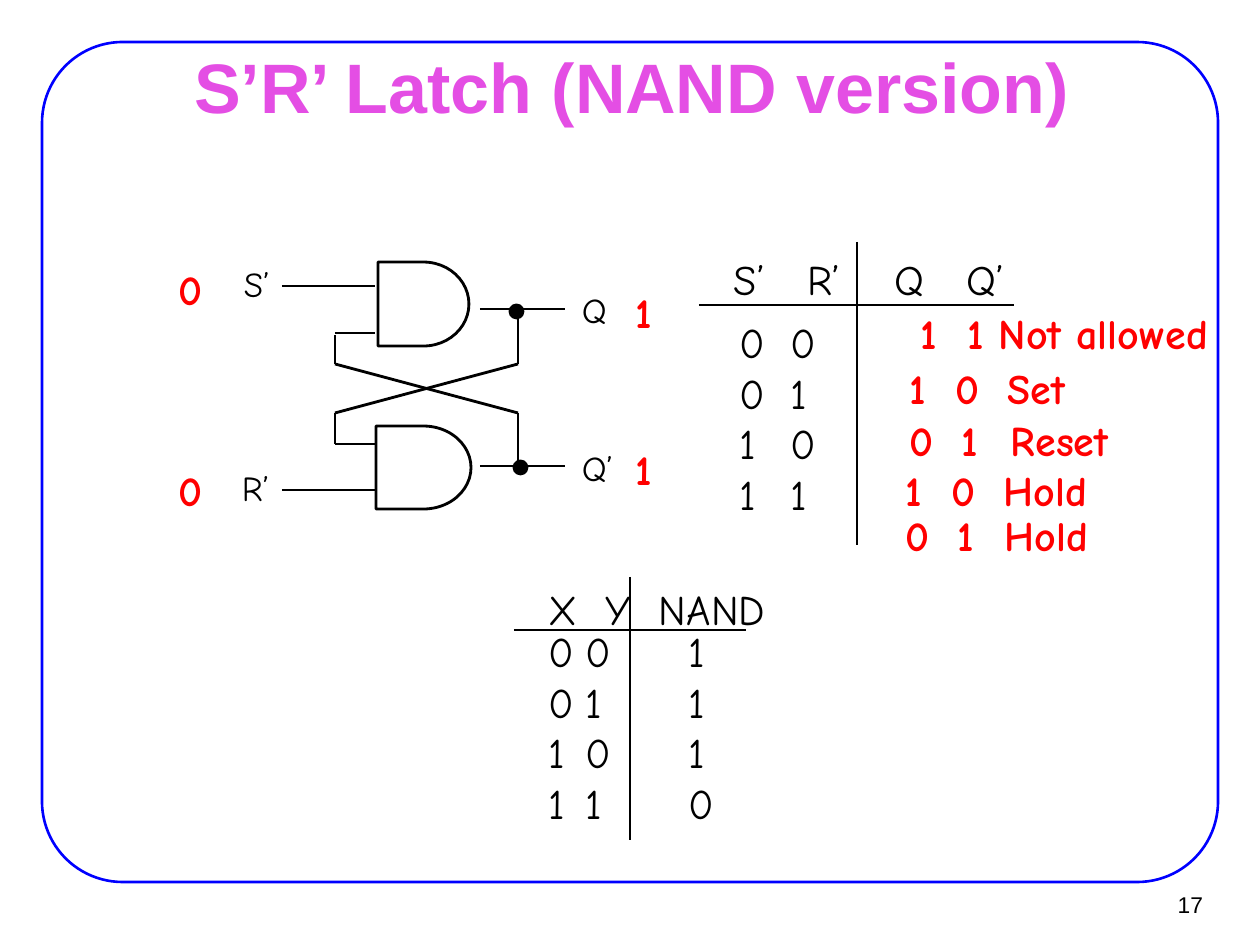
import dataclasses

import pptx
import pptx.dml.color
import pptx.enum.shapes
import pptx.enum.text
import pptx.oxml.ns
import pptx.util
from lxml import etree


@dataclasses.dataclass(frozen=True)
class Theme:
    title_font: str = "Arial"
    hand_font: str = "Comic Neue"
    ink: str = "000000"
    answer: str = "FF0000"
    title: str = "E44EE4"
    frame: str = "0000FF"
    title_size: int = 40
    body_size: int = 24
    label_size: int = 20
    number_size: int = 13
    wire: float = 1.62
    rule: float = 0.75
    border: float = 1.5


T = Theme()
SHAPE = pptx.enum.shapes.MSO_SHAPE
ALIGN = pptx.enum.text.PP_ALIGN
SCALE = 914400 / 126

TITLE = "S’R’ Latch (NAND version)"
FRAME = (42, 42, 1176, 840)
GATES = [(378, 262, 91, 84), (376, 426, 95, 83)]
DOTS = [(510, 305, 13, 13), (514, 461, 13, 13)]
WIRES = [
    (282, 286, 375, 286), (335, 333, 375, 333), (480, 309, 565, 309),
    (335, 444, 375, 444), (282, 490, 375, 490), (480, 466, 565, 466),
    (335, 335, 335, 364), (335, 413, 335, 444),
    (518, 312, 518, 364), (518, 413, 518, 466),
    (335, 364, 518, 413), (335, 413, 518, 364),
]
RULES = [
    (699, 305, 1014, 305), (857, 242, 857, 545),
    (514, 630, 746, 630), (630, 577, 630, 840),
]
LABELS = [("S’", 244, 262), ("R’", 242, 466), ("Q", 582, 288), ("Q’", 582, 446)]
SIGNALS = [("0", 166, 258), ("0", 166, 459), ("1", 622, 281), ("1", 622, 438)]
TABLES = [
    ([("S’", "R’", "Q", "Q’")], (721, 248, 310, 63), (74, 161, 233)),
    ([("0", "0"), ("0", "1"), ("1", "0"), ("1", "1")], (727, 311, 105, 214), (51,)),
    ([("X", "Y", "NAND")], (536, 578, 245, 63), (57, 110)),
    ([("0", "0", "1"), ("0", "1", "1"), ("1", "0", "1"), ("1", "1", "0")],
     (536, 620, 205, 214), (37, 140)),
]
OUTCOMES = [
    (("1", "1", "Not allowed"), 908, 302, (47, 78)),
    (("1", "0", "Set"), 897, 357, (46, 98)),
    (("0", "1", "Reset"), 897, 409, (52, 101)),
    (("1", "0", "Hold"), 893, 459, (46, 98)),
    (("0", "1", "Hold"), 893, 504, (52, 99)),
]


def px(n):
    return pptx.util.Emu(round(n * SCALE))


def rgb(color):
    return pptx.dml.color.RGBColor.from_string(color)


def set_font(p, name, size, color, bold=False):
    p.font.name = name
    p.font.size = pptx.util.Pt(size)
    p.font.bold = bold
    p.font.color.rgb = rgb(color)


def set_frame(tf, inset_x, inset_y):
    tf.word_wrap = True
    tf.auto_size = pptx.enum.text.MSO_AUTO_SIZE.NONE
    tf.margin_left = tf.margin_right = px(inset_x)
    tf.margin_top = tf.margin_bottom = px(inset_y)


def add_tabs(p, stops):
    qn = pptx.oxml.ns.qn
    tabs = etree.Element(qn("a:tabLst"))
    for stop in stops:
        etree.SubElement(tabs, qn("a:tab"), pos=str(int(px(stop))), algn="l")
    p._p.get_or_add_pPr().insert(0, tabs)


def add_text(s, rows, box, size=T.body_size, color=T.ink, bold=False,
             font=T.hand_font, inset=(13, 6), stops=(), align=ALIGN.LEFT):
    tf = s.shapes.add_textbox(*map(px, box)).text_frame
    set_frame(tf, *inset)
    for i, row in enumerate(rows):
        p = tf.paragraphs[0] if i == 0 else tf.add_paragraph()
        if stops:
            add_tabs(p, stops)
        p.alignment = align
        p.add_run().text = "\t".join(row)
        set_font(p, font, size, color, bold)
    return tf


def add_shape(s, kind, box, color, width, fill=None):
    sp = s.shapes.add_shape(kind, *map(px, box))
    sp.shadow.inherit = False
    sp.line.color.rgb = rgb(color)
    sp.line.width = pptx.util.Pt(width)
    if fill:
        sp.fill.solid()
        sp.fill.fore_color.rgb = rgb(fill)
    else:
        sp.fill.background()
    return sp


def add_line(s, ends, width):
    line = s.shapes.add_connector(
        pptx.enum.shapes.MSO_CONNECTOR.STRAIGHT, *map(px, ends))
    line.line.color.rgb = rgb(T.ink)
    line.line.width = pptx.util.Pt(width)
    etree.SubElement(line._element.spPr, pptx.oxml.ns.qn("a:effectLst"))


def add_title(s):
    sp = s.shapes.title
    sp.left, sp.top, sp.width, sp.height = map(px, (96, 55, 1071, 62))
    tf = sp.text_frame
    tf.text = TITLE
    set_frame(tf, 14, 8)
    tf.vertical_anchor = pptx.enum.text.MSO_ANCHOR.MIDDLE
    p = tf.paragraphs[0]
    p.alignment = ALIGN.CENTER
    set_font(p, T.title_font, T.title_size, T.title, True)


def main():
    prs = pptx.Presentation()
    prs.slide_width, prs.slide_height = px(1260), px(945)
    s = prs.slides.add_slide(prs.slide_layouts[5])

    frame = add_shape(s, SHAPE.ROUNDED_RECTANGLE, FRAME, T.frame, T.border)
    frame.adjustments[0] = 0.096
    add_title(s)
    number = add_text(s, [("17",)], (1137, 881, 77, 47), T.number_size,
                      font=T.title_font, inset=(11, 5), align=ALIGN.RIGHT)
    number.vertical_anchor = pptx.enum.text.MSO_ANCHOR.MIDDLE

    for box in GATES:
        add_shape(s, SHAPE.FLOWCHART_DELAY, box, T.ink, T.wire)
    for ends in WIRES:
        add_line(s, ends, T.wire)
    for box in DOTS:
        add_shape(s, SHAPE.OVAL, box, T.ink, T.wire, T.ink)
    for ends in RULES:
        add_line(s, ends, T.rule)

    for text, x, y in LABELS:
        add_text(s, [(text,)], (x, y, 40, 42), T.label_size, inset=(0, 0))
    for text, x, y in SIGNALS:
        add_text(s, [(text,)], (x, y, 46, 63), color=T.answer, bold=True)
    for rows, box, stops in TABLES:
        add_text(s, rows, box, stops=stops)
    for row, x, y, stops in OUTCOMES:
        add_text(s, [row], (x, y, 325, 63), color=T.answer, bold=True, stops=stops)

    prs.save("out.pptx")


if __name__ == "__main__":
    main()
